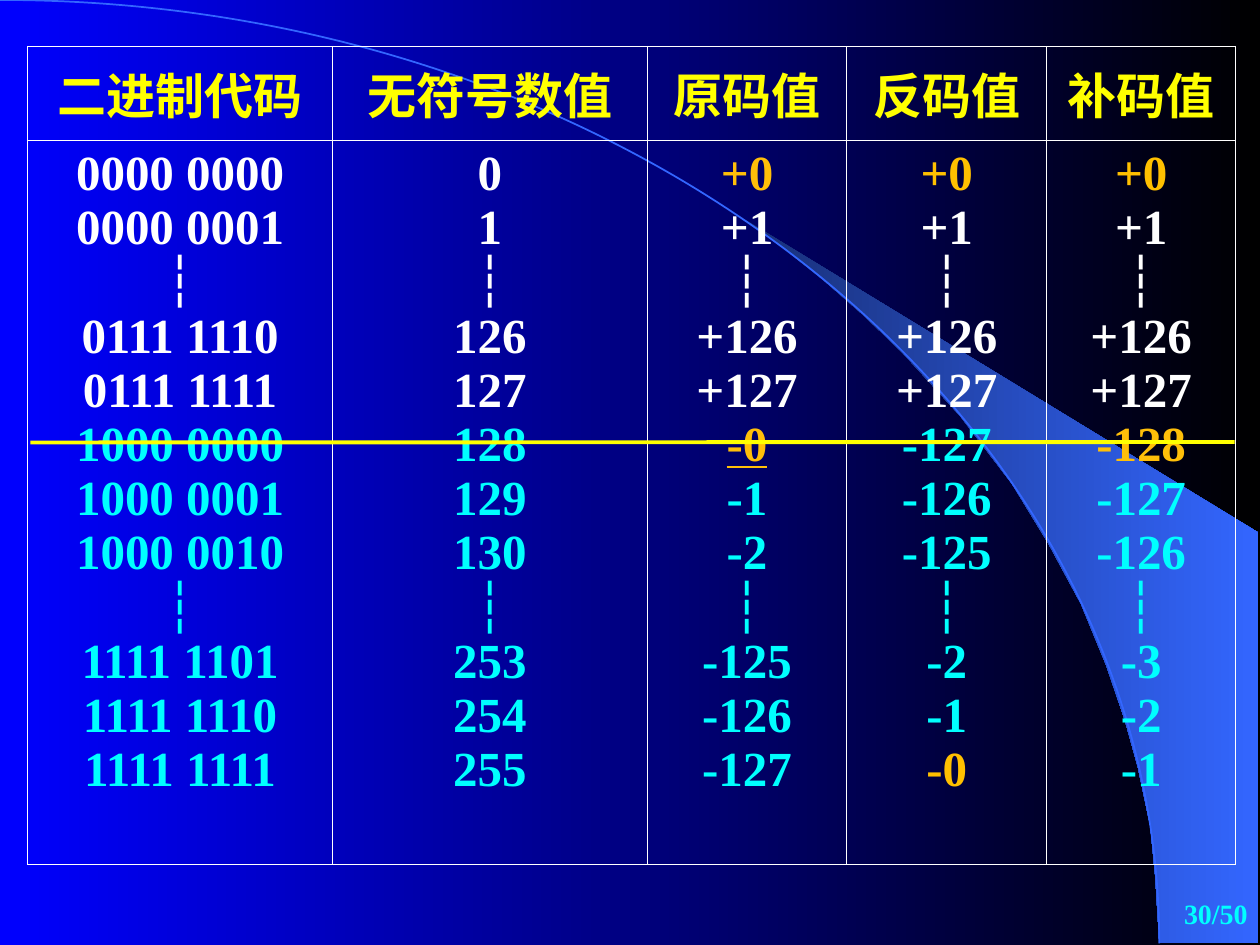
"""Build a slide comparing the values of 8-bit binary codes."""
from lxml.etree import SubElement
from pptx import Presentation
from pptx.dml.color import RGBColor
from pptx.enum.shapes import MSO_CONNECTOR
from pptx.enum.text import MSO_ANCHOR, PP_ALIGN
from pptx.oxml import parse_xml
from pptx.oxml.ns import nsdecls, qn
from pptx.util import Cm, Pt

BLUE = RGBColor(0x00, 0x00, 0xFF)
BLACK = RGBColor(0x00, 0x00, 0x00)
NAVY = RGBColor(0x18, 0x2F, 0x76)
SKY = RGBColor(0x33, 0x66, 0xFF)
WHITE = RGBColor(0xFF, 0xFF, 0xFF)
YELLOW = RGBColor(0xFF, 0xFF, 0x00)
CYAN = RGBColor(0x00, 0xFF, 0xFF)
AMBER = RGBColor(0xFF, 0xBF, 0x09)
GOLD = RGBColor(0xFF, 0xC0, 0x00)

FONT = {"name": "Times New Roman", "size": Pt(28), "bold": True}
PLAIN = "{2D5ABB26-0587-4C30-8999-92F81FD0307C}"
BEAM = [(23.37, 19), (25.37, 19.02), (25.37, 10.74), (14.96, 4.39),
        (15.85, 5.05), (16.59, 5.64), (17.4, 6.35), (18.19, 7.11),
        (19.35, 8.38), (20.4, 9.75), (21.13, 10.95), (21.79, 12.17),
        (22.3, 13.41), (22.68, 14.53), (22.94, 15.47), (23.19, 16.66),
        (23.29, 17.68)]
BEND = [(12.9, 0), (23.37, 8.51), (23.37, 19.02)]
HEADS = ["二进制代码", "无符号数值", "原码值", "反码值", "补码值"]
WIDTHS = [6.14, 6.35, 4.02, 4.03, 3.81]
CODES = [
    ["0000 0000", "0", "+0", "+0", "+0"],
    ["0000 0001", "1", "+1", "+1", "+1"],
    ["┆"] * 5,
    ["0111 1110", "126", "+126", "+126", "+126"],
    ["0111 1111", "127", "+127", "+127", "+127"],
    ["1000 0000", "128", "-0", "-127", "-128"],
    ["1000 0001", "129", "-1", "-126", "-127"],
    ["1000 0010", "130", "-2", "-125", "-126"],
    ["┆"] * 5,
    ["1111 1101", "253", "-125", "-2", "-3"],
    ["1111 1110", "254", "-126", "-1", "-2"],
    ["1111 1111", "255", "-127", "-0", "-1"],
]


def write(para, text, color, align=PP_ALIGN.CENTER, **extra):
    para.alignment = align
    run = para.add_run()
    run.text = text
    for key, value in (FONT | extra).items():
        setattr(run.font, key, value)
    run.font.color.rgb = color


def blend(fill, first, last):
    fill.gradient()
    fill.gradient_angle = 0
    for stop, color in zip(fill.gradient_stops, (first, last)):
        stop.color.rgb = color


deck = Presentation()
deck.slide_width, deck.slide_height = Cm(25.4), Cm(19.05)
slide = deck.slides.add_slide(deck.slide_layouts[6])
shapes = slide.shapes
blend(slide.background.fill, BLUE, BLACK)

spots = [(Cm(x), Cm(y)) for x, y in BEAM]
pen = shapes.build_freeform(*spots[0])
pen.add_line_segments(spots[1:], close=True)
beam = pen.convert_to_shape()
beam.shadow.inherit = False
blend(beam.fill, NAVY, SKY)
beam.line.fill.background()

pen = shapes.build_freeform(0, 0)
pen.add_line_segments([(Cm(23.37), Cm(19.02))], close=False)
arc = pen.convert_to_shape()
line = next(arc._element.iter(qn("a:lnTo")))
curve = SubElement(line.getparent(), qn("a:cubicBezTo"))
for x, y in BEND:
    SubElement(curve, qn("a:pt"), x=str(Cm(x)), y=str(Cm(y)))
line.getparent().remove(line)
arc.shadow.inherit = False
arc.fill.background()
arc.line.color.rgb = SKY
arc.line.width = Pt(1)

frame = shapes.add_table(2, 5, Cm(0.56), Cm(0.93), Cm(sum(WIDTHS)), Cm(16.5))
table = frame.table
table.first_row = table.horz_banding = False
table._tbl.tblPr.find(qn("a:tableStyleId")).text = PLAIN
for row, height in zip(table.rows, (1.9, 14.6)):
    row.height = Cm(height)
for column, width in zip(table.columns, WIDTHS):
    column.width = Cm(width)

for cell in table.iter_cells():
    props = cell._tc.get_or_add_tcPr()
    for side in "LRTB":
        props.append(parse_xml(
            f'<a:ln{side} {nsdecls("a")} w="{Pt(0.45)}"><a:solidFill>'
            f'<a:srgbClr val="{WHITE}"/></a:solidFill></a:ln{side}>'))
    cell.fill.background()

for col, (head, items) in enumerate(zip(HEADS, zip(*CODES))):
    top, body = table.cell(0, col), table.cell(1, col)
    top.vertical_anchor = MSO_ANCHOR.MIDDLE
    write(top.text_frame.paragraphs[0], head, YELLOW)
    for pos, item in enumerate(items):
        text = body.text_frame
        para = text.add_paragraph() if pos else text.paragraphs[0]
        color = WHITE if pos < 5 else CYAN
        if item in ("+0", "-0", "-128"):
            color = AMBER if col == 2 or item == "-128" else GOLD
        write(para, item, color, underline=(col == 2 and item == "-0") or None)
    for para in top.text_frame.paragraphs + body.text_frame.paragraphs:
        props = para._p.get_or_add_pPr()
        props.set("marL", str(Cm(0.95)))
        props.set("indent", str(-Cm(0.95)))

rule = shapes.add_connector(
    MSO_CONNECTOR.STRAIGHT, Cm(0.61), Cm(8.92), Cm(24.89), Cm(8.91))
rule.line.color.rgb = YELLOW
rule.line.width = Pt(2.25)
SubElement(rule._element.spPr, qn("a:effectLst"))

box = shapes.add_textbox(Cm(20.12), Cm(17.78), Cm(5.28), Cm(1.27))
box.text_frame.word_wrap = True
box.text_frame.vertical_anchor = MSO_ANCHOR.MIDDLE
write(box.text_frame.paragraphs[0], "30/50", CYAN, PP_ALIGN.RIGHT, size=Pt(16))

deck.save("out.pptx")
